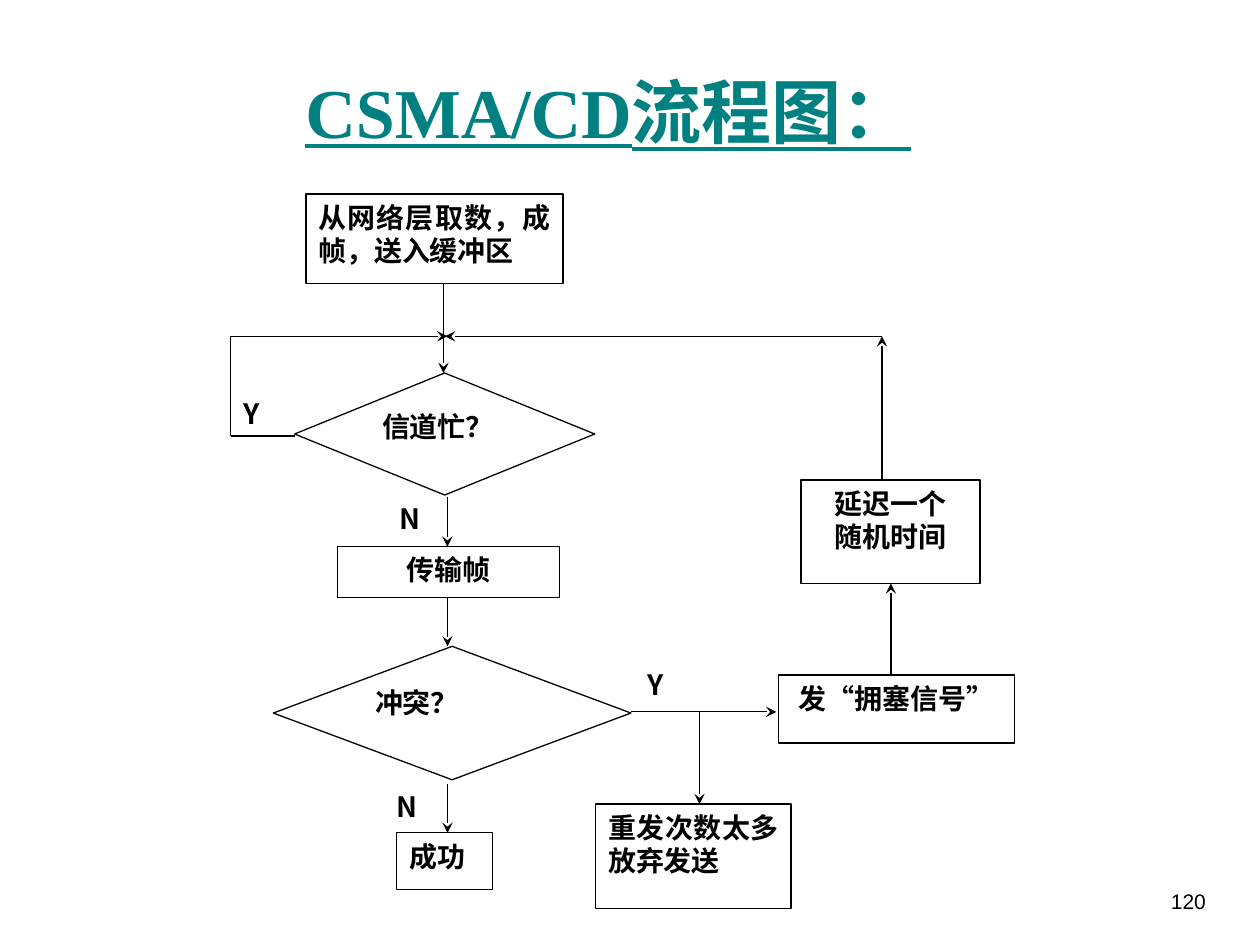
from collections import namedtuple
from dataclasses import dataclass
from itertools import pairwise

from lxml.etree import SubElement
from pptx import Presentation
from pptx.dml.color import RGBColor as Rgb
from pptx.enum.shapes import MSO_CONNECTOR as Conn, MSO_SHAPE as Shape
from pptx.enum.text import MSO_ANCHOR as Anchor, PP_ALIGN as Align
from pptx.oxml.ns import qn
from pptx.util import Cm, Pt

Box = namedtuple("Box", "x y w h")


@dataclass(frozen=True)
class Theme:
    ink: Rgb = Rgb(0, 0, 0)
    paper: Rgb = Rgb(255, 255, 255)
    teal: Rgb = Rgb(0, 128, 128)
    serif: str = "Times New Roman"
    sans: str = "Arial"
    han: str = "Noto Sans CJK SC"
    big: int = 40
    mid: int = 16
    small: int = 12
    rule: float = 0.75


THEME = Theme()


def write(frame, text, size=THEME.mid, face=THEME.han, color=THEME.ink,
          bold=True, under=None, align=Align.JUSTIFY, anchor=Anchor.TOP):
    """Fill a text frame, one paragraph for each line of text."""
    frame.word_wrap = True
    frame.vertical_anchor = anchor
    for i, line in enumerate(text.split("\n")):
        para = frame.add_paragraph() if i else frame.paragraphs[0]
        para.alignment = align
        run = para.add_run()
        run.text = line
        font = run.font
        font.size, font.name = Pt(size), face
        font.bold, font.underline = bold, under
        font.color.rgb = color
        props = run._r.get_or_add_rPr()
        props.set("lang", "zh-CN")
        SubElement(props, qn("a:ea"), typeface=THEME.han)


def place(item, box):
    item.left, item.top, item.width, item.height = map(Cm, box)


def node(group, box, text, kind=Shape.RECTANGLE, edge=True, align=Align.JUSTIFY):
    """A white flow chart step, or a label when it has no edge."""
    item = group.shapes.add_shape(kind, *map(Cm, box))
    item.shadow.inherit = False
    item.fill.solid()
    item.fill.fore_color.rgb = THEME.paper
    if edge:
        item.line.color.rgb = THEME.ink
        item.line.width = Pt(THEME.rule)
    else:
        item.line.fill.background()
    write(item.text_frame, text, align=align)


def route(group, box, *points):
    """Straight lines through the points, with an arrow at the last one."""
    spots = [(Cm(box.x + x), Cm(box.y + y)) for x, y in points]
    for start, end in pairwise(spots):
        line = group.shapes.add_connector(Conn.STRAIGHT, *start, *end)
        line.line.color.rgb = THEME.ink
        line.line.width = Pt(THEME.rule)
        if end == spots[-1]:
            SubElement(line.line._get_or_add_ln(), qn("a:tailEnd"), type="stealth")
        SubElement(line._element.spPr, qn("a:effectLst"))


def head(slide, box):
    title = slide.shapes.title
    place(title, box)
    write(title.text_frame, "CSMA/CD流程图：", size=THEME.big, face=THEME.serif,
          color=THEME.teal, under=True, align=Align.CENTER, anchor=Anchor.MIDDLE)


def chart(slide, box):
    group = slide.shapes.add_group_shape()

    def at(x, y, w, h):
        return Box(box.x + x, box.y + y, w, h)

    # Branch labels, behind the steps
    for text, x, y in (("Y", 0, 3.96), ("N", 3.15, 6.07),
                       ("Y", 8.15, 9.43), ("N", 3.1, 11.89)):
        node(group, at(x, y, 1.22, 0.91), text, edge=False)

    # Main column
    node(group, at(1.52, 0, 5.18, 1.8), "从网络层取数，成帧，送入缓冲区",
         kind=Shape.FLOWCHART_PROCESS)
    node(group, at(1.29, 3.61, 6.05, 2.46), "信道忙？", kind=Shape.FLOWCHART_DECISION)
    node(group, at(2.16, 7.11, 4.47, 1.02), "传输帧", align=Align.CENTER)
    node(group, at(0.86, 9.12, 7.21, 2.69), "冲突？", kind=Shape.FLOWCHART_DECISION)
    node(group, at(3.35, 12.88, 1.93, 1.14), "成功")

    # Collision branch
    node(group, at(11.05, 9.7, 4.75, 1.37), "发“拥塞信号”", align=Align.CENTER)
    node(group, at(11.5, 5.77, 3.61, 2.08), "延迟一个\n随机时间", align=Align.CENTER)
    node(group, at(7.36, 12.3, 3.94, 2.11), "重发次数太多放弃发送")

    # Arrows down the main column
    mid, join = 4.37, 2.87
    route(group, box, (4.29, 1.8), (4.29, 3.61))
    for top, end in ((6.1, 7.11), (8.13, 9.12), (11.89, 12.88)):
        route(group, box, (mid, top), (mid, end))

    # Busy loop, then the collision branch and its way back
    route(group, box, (1.29, 4.88), (0, 4.88), (0, join), (mid, join))
    route(group, box, (8.08, 10.44), (11, 10.44))
    route(group, box, (9.45, 10.44), (9.45, 12.3))
    route(group, box, (13.31, 9.7), (13.31, 7.85))
    route(group, box, (13.13, 5.77), (13.13, join))
    route(group, box, (13.13, join), (4.32, join))


def foot(slide, box):
    item = slide.shapes.add_textbox(*map(Cm, box))
    write(item.text_frame, "120", size=THEME.small, face=THEME.sans,
          bold=False, align=Align.RIGHT)


def main():
    deck = Presentation()
    deck.slide_width, deck.slide_height = Cm(25.4), Cm(19.05)
    slide = deck.slides.add_slide(deck.slide_layouts[5])
    head(slide, Box(1.47, 0.64, 21.59, 3.18))
    chart(slide, Box(4.65, 3.91, 15.8, 14.41))
    foot(slide, Box(22.68, 17.78, 1.88, 1.27))
    deck.save("out.pptx")


if __name__ == "__main__":
    main()
